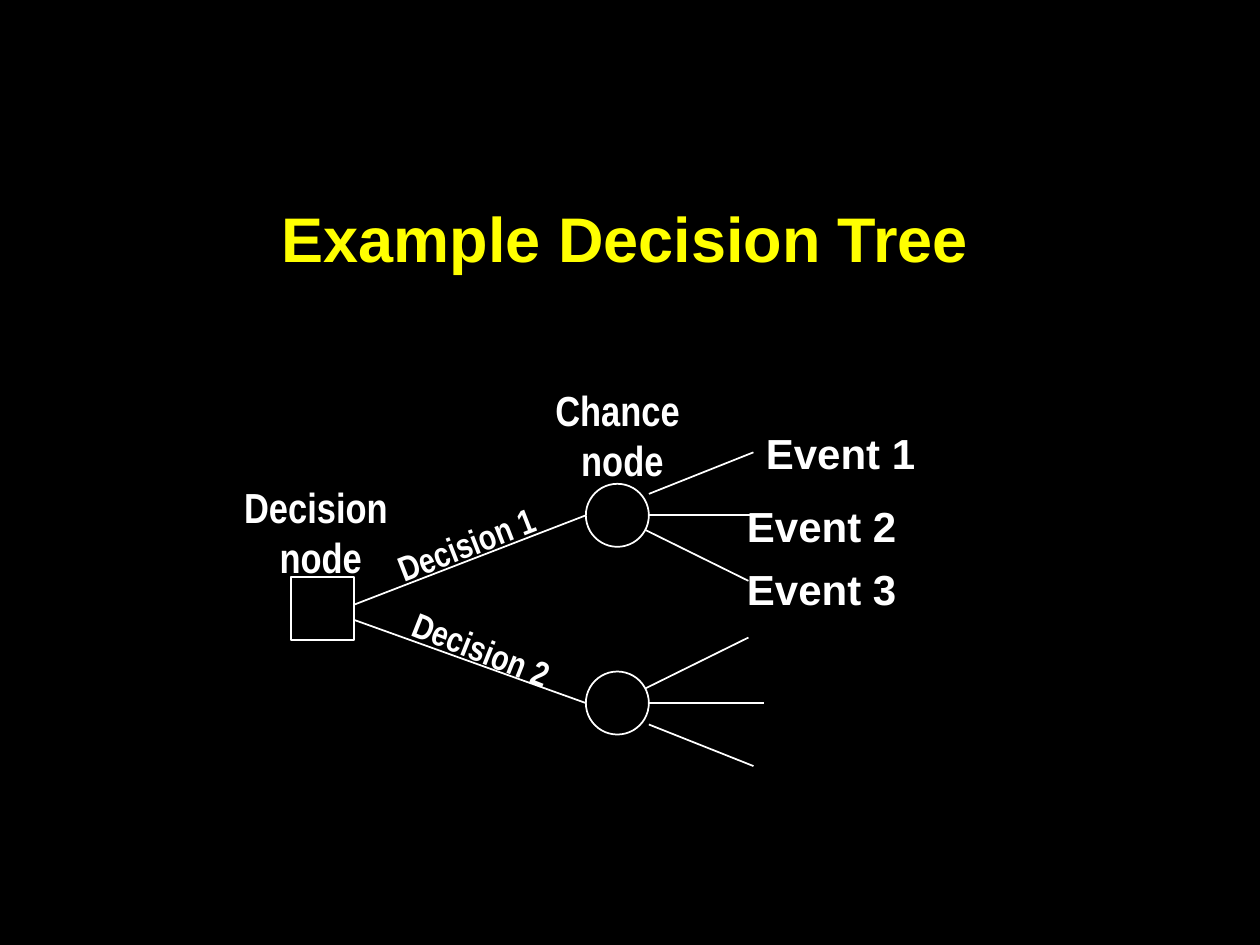
from dataclasses import dataclass
from lxml.etree import SubElement
from pptx import Presentation
from pptx.dml.color import RGBColor
from pptx.enum.shapes import MSO_CONNECTOR, MSO_SHAPE
from pptx.enum.text import MSO_ANCHOR, MSO_AUTO_SIZE, PP_ALIGN
from pptx.oxml.ns import qn
from pptx.slide import Slide
from pptx.util import Inches, Pt


def color(hex_value):
    return RGBColor.from_string(hex_value)


@dataclass
class TreeSlide:
    slide: Slide
    background: str = "000000"
    ink: str = "FFFFFF"
    accent: str = "FFFF00"
    stroke: float = 1

    def paint_background(self):
        fill = self.slide.background.fill
        fill.solid()
        fill.fore_color.rgb = color(self.background)

    def outline(self, line):
        line.color.rgb = color(self.ink)
        line.width = Pt(self.stroke)

    def branch(self, x1, y1, x2, y2):
        ends = [Inches(value) for value in (x1, y1, x2, y2)]
        connector = self.slide.shapes.add_connector(MSO_CONNECTOR.STRAIGHT, *ends)
        self.outline(connector.line)
        SubElement(connector._element.spPr, qn("a:effectLst"))

    def node(self, preset, left, top, size):
        node = self.slide.shapes.add_shape(
            preset, Inches(left), Inches(top), Inches(size), Inches(size))
        node.shadow.inherit = False
        node.fill.solid()
        node.fill.fore_color.rgb = color(self.background)
        self.outline(node.line)

    def label(self, lines, box, size=24, font="Arial", align=PP_ALIGN.LEFT,
              tint=None, rotation=0, wrap=False, frame_format=None):
        label = self.slide.shapes.add_textbox(*[Inches(value) for value in box])
        label.rotation = rotation
        frame = label.text_frame
        frame_values = {"word_wrap": wrap, "auto_size": MSO_AUTO_SIZE.SHAPE_TO_FIT_TEXT}
        frame_values.update(frame_format or {})
        for name, value in frame_values.items():
            setattr(frame, name, value)
        frame.text = "\n".join(lines)
        font_values = {"name": font, "size": Pt(size), "bold": True}
        for paragraph in frame.paragraphs:
            paragraph.alignment = align
            for run in paragraph.runs:
                for name, value in font_values.items():
                    setattr(run.font, name, value)
                run.font.color.rgb = color(tint or self.ink)


def main():
    presentation = Presentation()
    presentation.slide_width, presentation.slide_height = Inches(10), Inches(7.5)
    tree = TreeSlide(presentation.slides.add_slide(presentation.slide_layouts[6]))
    tree.paint_background()

    tree.label(["Example Decision Tree"], (1.42, 1.34, 7.08, 1.08), size=36,
               align=PP_ALIGN.CENTER, tint=tree.accent, wrap=True,
               frame_format={"auto_size": MSO_AUTO_SIZE.NONE,
                             "vertical_anchor": MSO_ANCHOR.MIDDLE})

    node_size = 0.5
    chance_left = 4.65
    chance_right = chance_left + node_size
    upper_y, lower_y = 4.09, 5.58

    tree.branch(2.73, 4.83, chance_left, upper_y)
    tree.branch(2.81, 4.92, chance_left, lower_y)
    for center_y, side in ((upper_y, 1), (lower_y, -1)):
        tree.branch(chance_right, center_y - side * 0.17, 5.98, center_y - side * 0.5)
        tree.branch(chance_right, center_y, 6.06, center_y)
        tree.branch(5.11, center_y + side * 0.11, 5.94, center_y + side * 0.52)

    tree.node(MSO_SHAPE.RECTANGLE, 2.31, 4.58, node_size)
    for center_y in (upper_y, lower_y):
        tree.node(MSO_SHAPE.OVAL, chance_left, center_y - node_size / 2, node_size)

    for kind, box in (("Decision ", (1.79, 3.77, 1.51, 0.9)),
                      ("Chance ", (4.26, 3, 1.36, 0.9))):
        tree.label([kind, "node"], box, font="Arial Narrow", align=PP_ALIGN.CENTER)

    for decision, box, rotation in (("Decision 1", (3.03, 4.1, 1.34, 0.44), 338.7),
                                    ("Decision 2", (3.09, 4.92, 1.34, 0.77), 21.7)):
        tree.label([decision], box, size=20, font="Arial Narrow",
                   align=PP_ALIGN.CENTER, rotation=rotation)

    for event, left, top in (("Event 1", 5.98, 3.34),
                             ("Event 2", 5.83, 3.92),
                             ("Event 3", 5.83, 4.42)):
        tree.label([event], (left, top, 1.42, 0.5), wrap=True)

    presentation.save("out.pptx")


if __name__ == "__main__":
    main()
